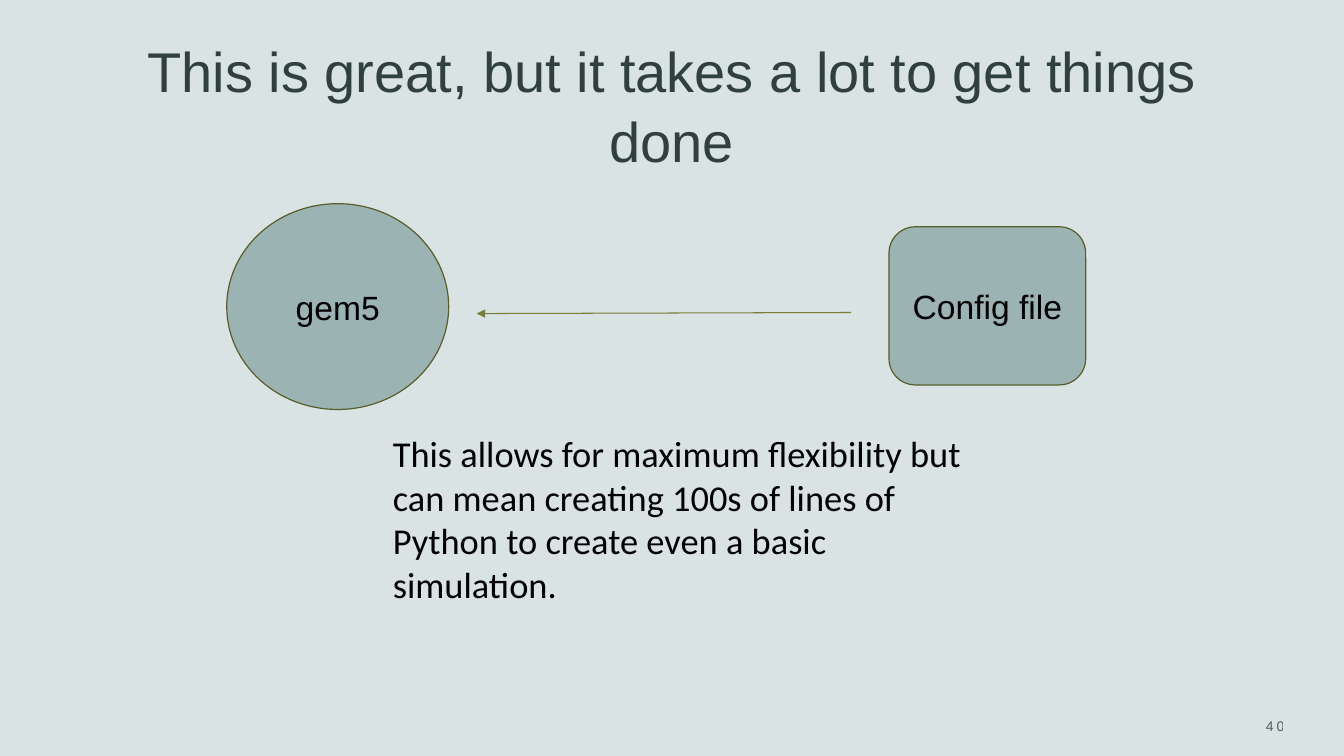
from dataclasses import dataclass

from lxml.etree import SubElement
from pptx import Presentation
from pptx.dml.color import RGBColor
from pptx.enum.shapes import MSO_CONNECTOR, MSO_SHAPE
from pptx.enum.text import MSO_ANCHOR, MSO_AUTO_SIZE, PP_ALIGN
from pptx.oxml.ns import qn
from pptx.slide import Slide
from pptx.text.text import TextFrame
from pptx.util import Pt

BACKGROUND = RGBColor(0xDA, 0xE3, 0xE3)
TITLE_COLOR = RGBColor(0x30, 0x3F, 0x3F)
NODE_FILL = RGBColor(0x9B, 0xB3, 0xB3)
NODE_LINE = RGBColor(0x57, 0x5D, 0x29)
ARROW_COLOR = RGBColor(0x76, 0x7E, 0x37)
BLACK = RGBColor(0, 0, 0)


@dataclass(frozen=True)
class Box:
    left: float
    top: float
    width: float
    height: float

    def lengths(self) -> tuple[Pt, Pt, Pt, Pt]:
        return Pt(self.left), Pt(self.top), Pt(self.width), Pt(self.height)


@dataclass(frozen=True)
class Style:
    size: float
    color: RGBColor = BLACK
    font: str = "Arial"
    align: PP_ALIGN = PP_ALIGN.CENTER
    anchor: MSO_ANCHOR = MSO_ANCHOR.MIDDLE


@dataclass(frozen=True)
class Node:
    text: str
    preset: MSO_SHAPE
    box: Box


NODE_STYLE = Style(24)
NODES = (
    Node("gem5", MSO_SHAPE.OVAL, Box(162, 145.5, 158.5, 147)),
    Node("Config file", MSO_SHAPE.ROUNDED_RECTANGLE, Box(635, 162, 140.5, 113)),
)


def write(tf: TextFrame, text: str, style: Style) -> None:
    tf.text = text
    tf.word_wrap = True
    tf.auto_size = MSO_AUTO_SIZE.NONE
    tf.vertical_anchor = style.anchor
    p = tf.paragraphs[0]
    p.alignment = style.align
    p.font.name = style.font
    p.font.size = Pt(style.size)
    p.font.color.rgb = style.color


def add_title(slide: Slide, text: str, box: Box) -> None:
    sp = slide.shapes.title
    sp.left, sp.top, sp.width, sp.height = box.lengths()
    write(sp.text_frame, text, Style(40, TITLE_COLOR, anchor=MSO_ANCHOR.BOTTOM))
    sp.text_frame.paragraphs[0].line_spacing = 1.05


def add_text(slide: Slide, text: str, box: Box, style: Style) -> TextFrame:
    tf = slide.shapes.add_textbox(*box.lengths()).text_frame
    write(tf, text, style)
    return tf


def add_page_number(slide: Slide, text: str, box: Box) -> None:
    tf = add_text(slide, text, box, Style(10, align=PP_ALIGN.RIGHT))
    r = tf.paragraphs[0].runs[0]
    r.font.color.rgb = BLACK
    r_pr = r.font._element
    r_pr.set("spc", "200")
    SubElement(r_pr.find(".//" + qn("a:srgbClr")), qn("a:alpha"), val="60000")


def add_node(slide: Slide, node: Node) -> None:
    sp = slide.shapes.add_shape(node.preset, *node.box.lengths())
    sp.shadow.inherit = False
    sp.fill.solid()
    sp.fill.fore_color.rgb = NODE_FILL
    sp.line.color.rgb = NODE_LINE
    sp.line.width = Pt(0.85)
    write(sp.text_frame, node.text, NODE_STYLE)


def add_arrow(slide: Slide, x1: float, y1: float, x2: float, y2: float) -> None:
    arrow = slide.shapes.add_connector(
        MSO_CONNECTOR.STRAIGHT, Pt(x1), Pt(y1), Pt(x2), Pt(y2)
    )
    arrow.line.color.rgb = ARROW_COLOR
    arrow.line.width = Pt(0.75)
    SubElement(arrow.line._get_or_add_ln(), qn("a:tailEnd"), type="triangle")
    SubElement(arrow._element.spPr, qn("a:effectLst"))


def main() -> None:
    prs = Presentation()
    prs.slide_width, prs.slide_height = Pt(960), Pt(540)
    slide = prs.slides.add_slide(prs.slide_layouts.get_by_name("Title Only"))
    slide.background.fill.solid()
    slide.background.fill.fore_color.rgb = BACKGROUND

    add_title(
        slide,
        "This is great, but it takes a lot to get things done",
        Box(77.5, 80.5, 804.5, 47.5),
    )
    add_page_number(slide, "40", Box(786, 500.5, 138.5, 36))
    for node in NODES:
        add_node(slide, node)
    add_arrow(slide, 608, 223.2, 340.5, 224)
    add_text(
        slide,
        "This allows for maximum flexibility but can mean creating 100s of lines "
        "of Python to create even a basic simulation.",
        Box(273.5, 304.5, 425, 133),
        Style(26, font="Calibri", align=PP_ALIGN.LEFT, anchor=MSO_ANCHOR.TOP),
    )
    prs.save("out.pptx")


if __name__ == "__main__":
    main()
